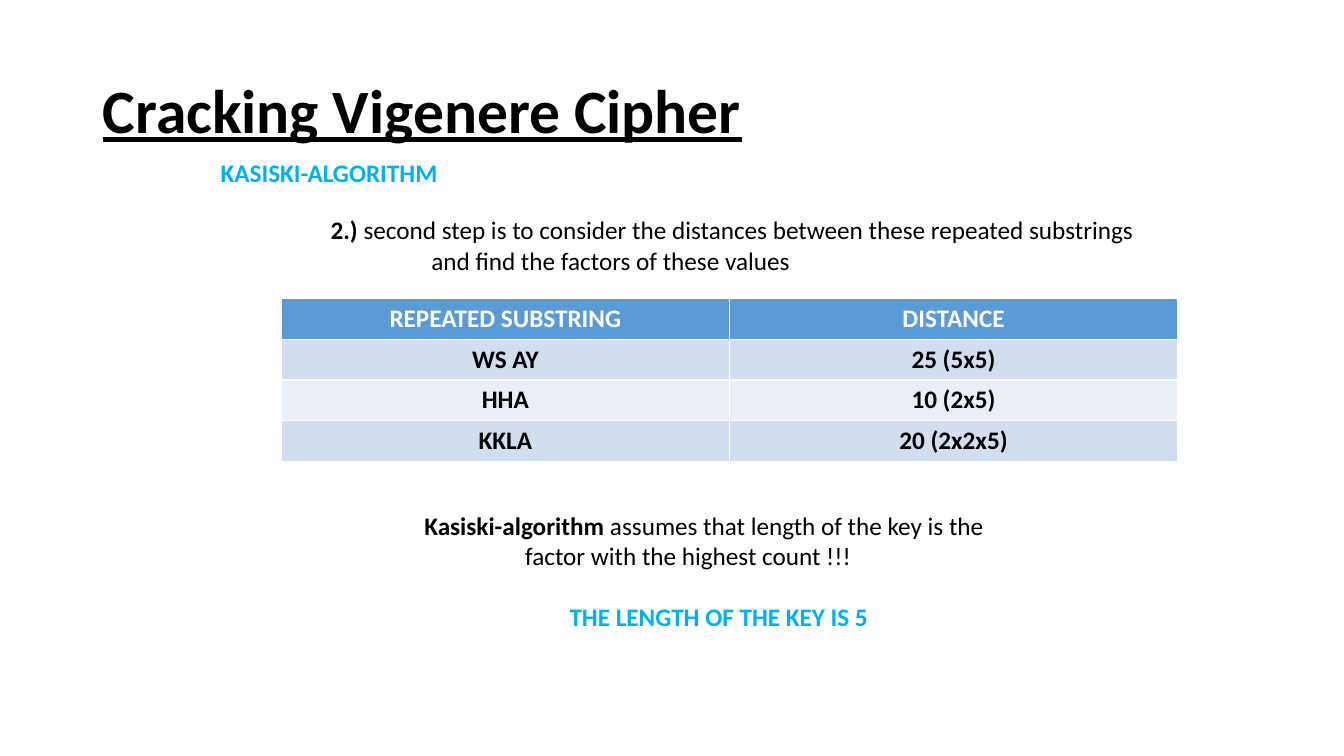
"""Build the slide on cracking the Vigenere cipher with the Kasiski algorithm."""
from dataclasses import dataclass

from pptx import Presentation
from pptx.dml.color import RGBColor
from pptx.enum.text import MSO_ANCHOR, MSO_AUTO_SIZE, PP_ALIGN
from pptx.util import Inches, Pt


@dataclass(frozen=True)
class Theme:
    font: str = "Calibri"
    title_size: int = 44
    body_size: int = 18
    ink: str = "000000"
    accent: str = "00B0F0"
    header_text: str = "FFFFFF"
    header_fill: str = "5B9BD5"
    band_fills: tuple = ("D2DEEF", "EAEFF7")


THEME = Theme()

TITLE = "Cracking Vigenere Cipher"
TITLE_BOX = (0.92, 0.4, 11.5, 1.45)

# Each line: bold lead, regular rest, colour, indent in inches, space before in points
TEXT_BOXES = [
    ((2.09, 1.51, 2.38, 0.4), [("KASISKI-ALGORITHM", "", THEME.accent, 0, 0)]),
    ((3.18, 2.08, 8.26, 0.71), [
        ("2.) ", "second step is to consider the distances between these repeated substrings",
         THEME.ink, 0, 0),
        ("", "and find the factors of these values", THEME.ink, 1, 0),
    ]),
    ((4.11, 5.01, 5.85, 1.31), [
        ("Kasiski-algorithm", " assumes that length of the key is the", THEME.ink, 0, 0),
        ("", "factor with the highest count !!!", THEME.ink, 1, 0),
        ("THE LENGTH OF THE KEY IS 5", "", THEME.accent, 1.44, 22),
    ]),
]

DISTANCES = [
    ("REPEATED SUBSTRING", "DISTANCE"),
    ("WS AY", "25 (5x5)"),
    ("HHA", "10 (2x5)"),
    ("KKLA", "20 (2x2x5)"),
]
TABLE_BOX = (2.79, 2.96, 8.89, 1.62)


def inches(box):
    return [Inches(value) for value in box]


def style(paragraph, colour, size=THEME.body_size, bold=None):
    font = paragraph.font
    font.name, font.size, font.bold = THEME.font, Pt(size), bold
    font.color.rgb = RGBColor.from_string(colour)


def add_title(slide):
    title = slide.shapes.title
    title.left, title.top, title.width, title.height = inches(TITLE_BOX)
    frame = title.text_frame
    frame.text = TITLE
    frame.auto_size = MSO_AUTO_SIZE.NONE
    frame.vertical_anchor = MSO_ANCHOR.MIDDLE
    paragraph = frame.paragraphs[0]
    paragraph.alignment = PP_ALIGN.LEFT
    paragraph.line_spacing = 0.9
    style(paragraph, THEME.ink, THEME.title_size, bold=True)
    paragraph.font.underline = True


def add_text_box(slide, box, lines):
    frame = slide.shapes.add_textbox(*inches(box)).text_frame
    frame.word_wrap = True
    for index, (lead, rest, colour, indent, space) in enumerate(lines):
        paragraph = frame.add_paragraph() if index else frame.paragraphs[0]
        style(paragraph, colour)
        paragraph.space_before = Pt(space)
        paragraph._p.get_or_add_pPr().set("marL", str(Inches(indent)))
        for text, bold in ((lead, True), (rest, False)):
            if text:
                run = paragraph.add_run()
                run.text, run.font.bold = text, bold


def add_distance_table(slide):
    table = slide.shapes.add_table(len(DISTANCES), len(DISTANCES[0]), *inches(TABLE_BOX)).table
    for row, values in enumerate(DISTANCES):
        fill = THEME.band_fills[(row - 1) % 2] if row else THEME.header_fill
        colour = THEME.ink if row else THEME.header_text
        for column, value in enumerate(values):
            cell = table.cell(row, column)
            cell.text = value
            cell.fill.solid()
            cell.fill.fore_color.rgb = RGBColor.from_string(fill)
            paragraph = cell.text_frame.paragraphs[0]
            paragraph.alignment = PP_ALIGN.CENTER
            style(paragraph, colour, bold=True)


presentation = Presentation()
presentation.slide_width, presentation.slide_height = Inches(13.33), Inches(7.5)
slide = presentation.slides.add_slide(presentation.slide_layouts.get_by_name("Title Only"))
add_title(slide)
for box, lines in TEXT_BOXES:
    add_text_box(slide, box, lines)
add_distance_table(slide)
presentation.save("out.pptx")
